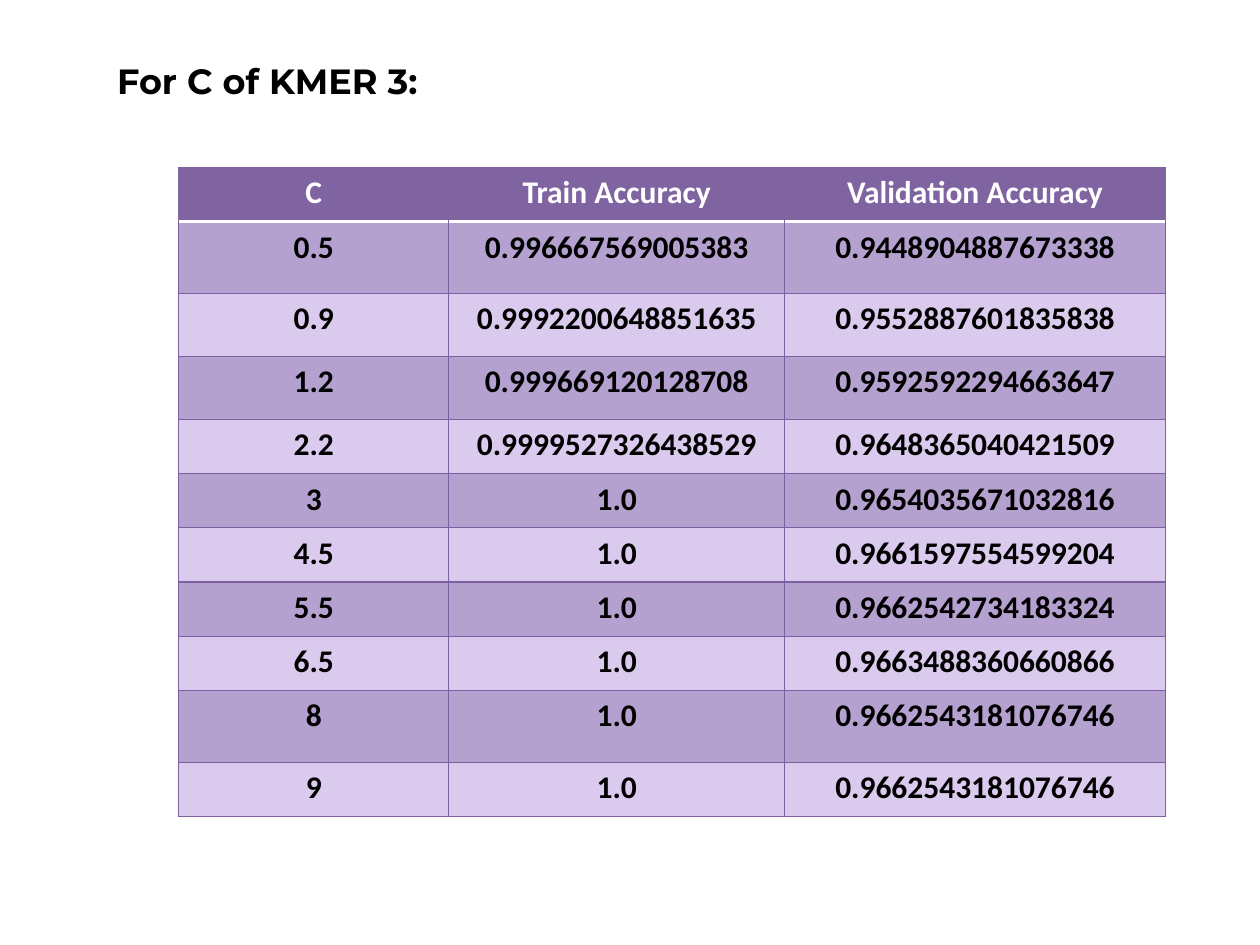
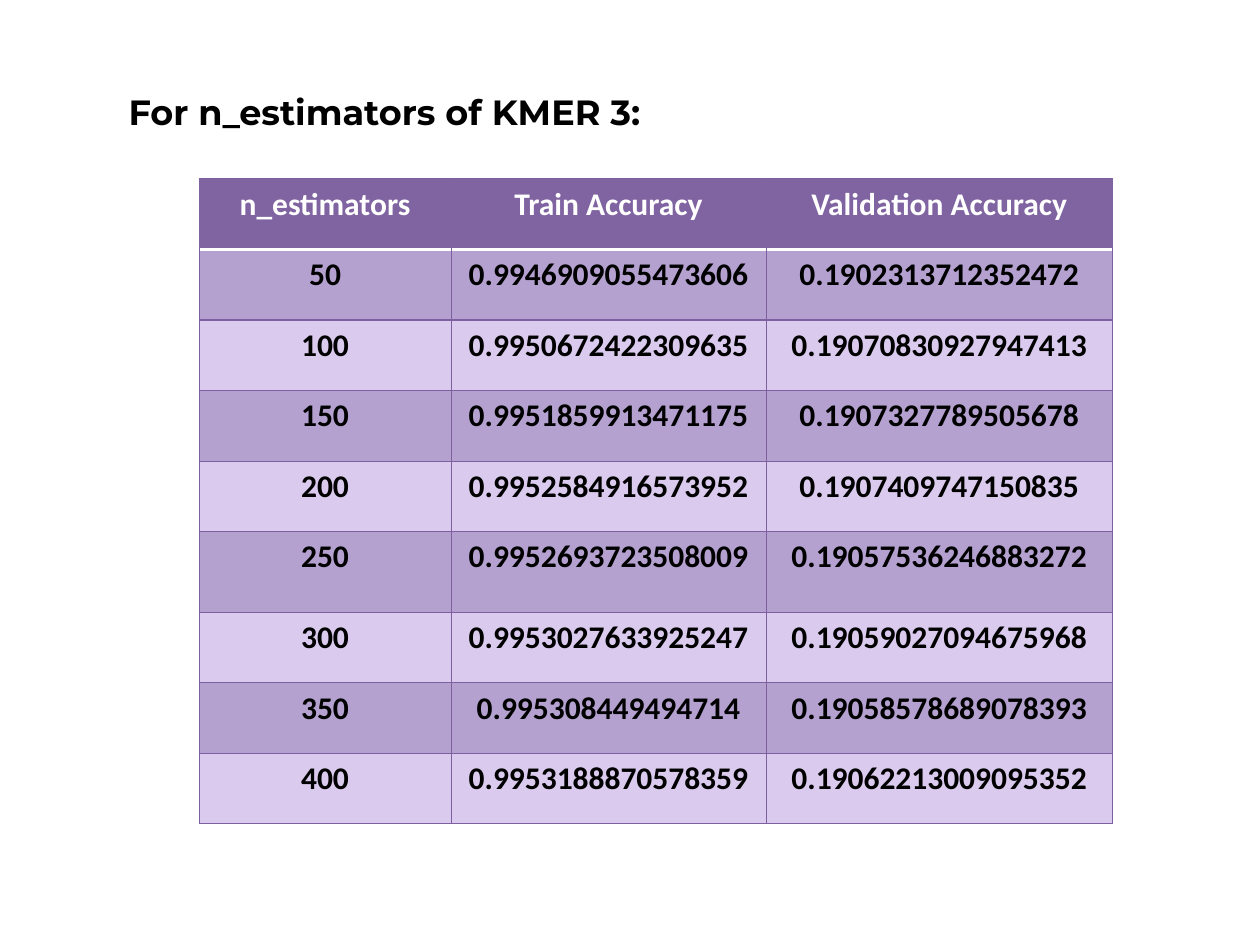
from dataclasses import dataclass

from lxml import etree
from pptx import Presentation
from pptx.dml.color import RGBColor
from pptx.enum.text import MSO_ANCHOR, MSO_AUTO_SIZE, PP_ALIGN
from pptx.oxml.ns import qn
from pptx.util import Inches, Pt

LEFT, CENTER = PP_ALIGN.LEFT, PP_ALIGN.CENTER
TOP = MSO_ANCHOR.TOP
FIXED = MSO_AUTO_SIZE.NONE
TITLE_ONLY = 5


@dataclass(frozen=True)
class Theme:
    """Colours, fonts and sizes that the slides share."""
    white: str = "FFFFFF"
    black: str = "000000"
    head: str = "8064A2"
    dark: str = "B4A1CF"
    light: str = "DACAED"
    line: str = "7D60A0"
    title_font: str = "Montserrat"
    cell_font: str = "Calibri"
    title_size: int = 20
    cell_size: int = 18
    thin: float = 0.75
    thick: float = 2


THEME = Theme()

C_ROWS = [
    ("0.5", "0.996667569005383", "0.9448904887673338"),
    ("0.9", "0.9992200648851635", "0.9552887601835838"),
    ("1.2", "0.999669120128708", "0.9592592294663647"),
    ("2.2", "0.9999527326438529", "0.9648365040421509"),
    ("3", "1.0", "0.9654035671032816"),
    ("4.5", "1.0", "0.9661597554599204"),
    ("5.5", "1.0", "0.9662542734183324"),
    ("6.5", "1.0", "0.9663488360660866"),
    ("8", "1.0", "0.9662543181076746"),
    ("9", "1.0", "0.9662543181076746"),
]

TREE_ROWS = [
    ("50", "0.9946909055473606", "0.1902313712352472"),
    ("100", "0.9950672422309635", "0.19070830927947413"),
    ("150", "0.9951859913471175", "0.1907327789505678"),
    ("200", "0.9952584916573952", "0.1907409747150835"),
    ("250", "0.9952693723508009", "0.19057536246883272"),
    ("300", "0.9953027633925247", "0.19059027094675968"),
    ("350", "0.995308449494714", "0.19058578689078393"),
    ("400", "0.9953188870578359", "0.19062213009095352"),
]


def put_text(frame, text, *, font, size, color, align=LEFT, bold=True):
    """Write one formatted paragraph into a text frame."""
    para = frame.paragraphs[0]
    para.alignment = align
    run = para.add_run()
    run.text = text
    run.font.name = font
    run.font.size = Pt(size)
    run.font.bold = bold
    run.font.color.rgb = RGBColor.from_string(color)


def add_title(slide, text, box):
    """Move the title placeholder to box and fill it."""
    title = slide.shapes.title
    title.left, title.top, title.width, title.height = map(Inches, box)
    frame = title.text_frame
    frame.word_wrap = True
    frame.auto_size = FIXED
    frame.vertical_anchor = TOP
    put_text(frame, text, font=THEME.title_font, size=THEME.title_size,
             color=THEME.black)


def add_edge(cell, side, color, width):
    """Draw one border of a cell; side is L, R, T or B."""
    props = cell._tc.get_or_add_tcPr()
    edge = etree.SubElement(props, qn("a:ln" + side), w=str(Pt(width)))
    fill = etree.SubElement(edge, qn("a:solidFill"))
    etree.SubElement(fill, qn("a:srgbClr"), val=color)


def style_cell(cell, row, text):
    """Give a cell its borders, band colour and text."""
    head = row == 0
    thin, thick = (THEME.line, THEME.thin), (THEME.white, THEME.thick)
    side = (THEME.head, THEME.thin) if head else thin
    add_edge(cell, "L", *side)
    add_edge(cell, "R", *side)
    add_edge(cell, "T", *(thick if row == 1 else thin))
    add_edge(cell, "B", *(thick if head else thin))
    band = THEME.head if head else THEME.dark if row % 2 else THEME.light
    cell.fill.solid()
    cell.fill.fore_color.rgb = RGBColor.from_string(band)
    put_text(cell.text_frame, text, font=THEME.cell_font,
             size=THEME.cell_size, align=CENTER,
             color=THEME.white if head else THEME.black)


def add_grid(slide, key, rows, left, top, widths, height, tall):
    """Add an accuracy table; tall maps row numbers to other heights."""
    data = [(key, "Train Accuracy", "Validation Accuracy"), *rows]
    highs = [tall.get(i, height) for i in range(len(data))]
    frame = slide.shapes.add_table(
        len(data), len(widths), Inches(left), Inches(top),
        Inches(sum(widths)), Inches(sum(highs)))
    table = frame.table
    for col, width in zip(table.columns, widths):
        col.width = Inches(width)
    for i, (high, texts) in enumerate(zip(highs, data)):
        table.rows[i].height = Inches(high)
        for j, text in enumerate(texts):
            style_cell(table.cell(i, j), i, text)


def add_page(deck, title, box, **grid):
    """Add a slide with a title and an accuracy table."""
    slide = deck.slides.add_slide(deck.slide_layouts[TITLE_ONLY])
    add_title(slide, title, box)
    add_grid(slide, **grid)


def main():
    """Build and save the deck."""
    deck = Presentation()
    deck.slide_width, deck.slide_height = Inches(10), Inches(7.5)
    add_page(deck, "For C of KMER 3:", (0.83, 0.42, 2.83, 0.44),
             key="C", rows=C_ROWS, left=1.42, top=1.33,
             widths=(2.14, 2.67, 3.02), height=0.43,
             tall={1: 0.57, 2: 0.5, 3: 0.5, 9: 0.57})
    add_page(deck, "For n_estimators of KMER 3:", (0.92, 0.67, 4.67, 0.44),
             key="n_estimators", rows=TREE_ROWS, left=1.58, top=1.42,
             widths=(2, 2.5, 2.75), height=0.56, tall={5: 0.64})
    deck.save("out.pptx")


main()
